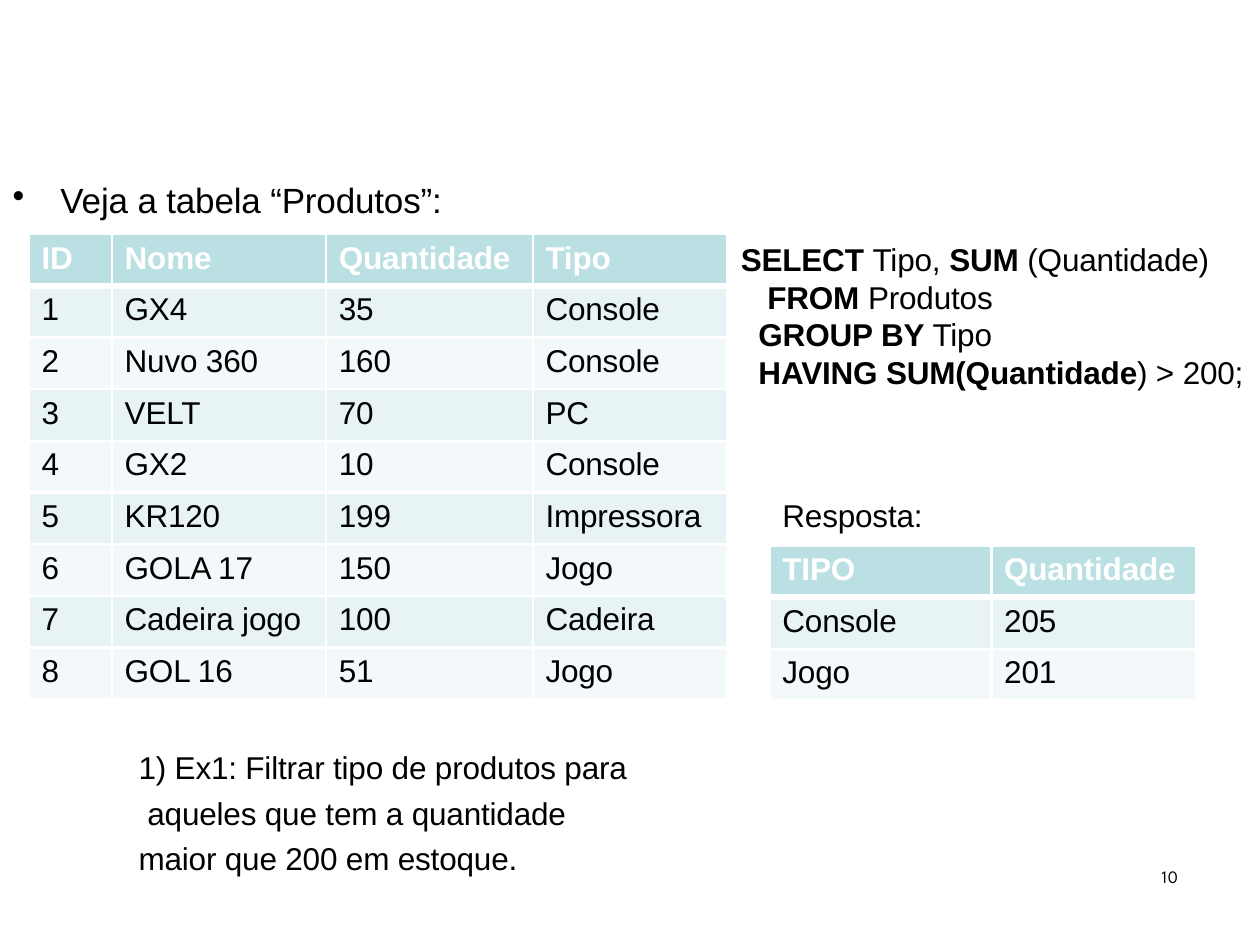
from dataclasses import dataclass
from typing import Optional, Union

from lxml.etree import SubElement
from pptx import Presentation
from pptx.dml.color import RGBColor
from pptx.enum.text import MSO_AUTO_SIZE
from pptx.oxml.ns import qn
from pptx.util import Pt

PX = 9144  # EMU per px, 100 px to the inch


def px(n: int) -> int:
    return n * PX


@dataclass(frozen=True)
class Theme:
    font: str = "Arial"
    number_font: str = "League Spartan"
    ink: str = "000000"
    white: str = "FFFFFF"
    header: str = "BBE0E3"
    bands: tuple = ("E7F3F4", "F3F9FA")
    lead: int = 20
    body: int = 18
    small: int = 10
    thin: float = 1.5
    thick: float = 4.25
    tracking: float = -0.1


THEME = Theme()


@dataclass(frozen=True)
class Run:
    text: str
    bold: bool = False


@dataclass(frozen=True)
class Line:
    runs: tuple
    left: int = 1
    hanging: int = 0
    bullet: str = ""
    spacing: Optional[Union[float, Pt]] = None


@dataclass(frozen=True)
class TextBox:
    at: tuple
    lines: tuple
    size: int = THEME.body
    font: str = THEME.font
    tracking: float = THEME.tracking


@dataclass(frozen=True)
class Grid:
    at: tuple
    cols: tuple
    rows: tuple
    row_height: int = 41


def assign(obj, values: dict) -> None:
    for name, value in values.items():
        setattr(obj, name, value)


def write_line(p, line: Line, size: int, font: str = THEME.font,
               color: str = THEME.ink, tracking: float = THEME.tracking) -> None:
    pPr = p._p.get_or_add_pPr()
    pPr.set("marL", str(px(line.left)))
    pPr.set("indent", str(-px(line.hanging)))
    if line.bullet:
        SubElement(pPr, qn("a:buChar"), char=line.bullet)
    if line.spacing:
        p.line_spacing = line.spacing
    for run in line.runs:
        r = p.add_run()
        r.text = run.text
        assign(r.font, {"name": font, "size": Pt(size), "bold": run.bold})
        r.font.color.rgb = RGBColor.from_string(color)
        r.font._element.set("spc", str(round(tracking * 100)))


def draw_text(s, box: TextBox) -> None:
    tf = s.shapes.add_textbox(*map(px, box.at)).text_frame
    assign(tf, {"word_wrap": True, "auto_size": MSO_AUTO_SIZE.SHAPE_TO_FIT_TEXT,
                "margin_left": 0, "margin_top": px(1),
                "margin_right": 0, "margin_bottom": 0})
    for i, line in enumerate(box.lines):
        p = tf.add_paragraph() if i else tf.paragraphs[0]
        write_line(p, line, box.size, box.font, tracking=box.tracking)


def draw_borders(cell, row: int) -> None:
    # The header is set off from the first row by a thick rule
    tcPr = cell._tc.get_or_add_tcPr()
    thick_side = {0: "lnB", 1: "lnT"}.get(row)
    for side in ("lnL", "lnR", "lnT", "lnB"):
        width = THEME.thick if side == thick_side else THEME.thin
        ln = SubElement(tcPr, qn(f"a:{side}"), w=str(int(Pt(width))))
        fill = SubElement(ln, qn("a:solidFill"))
        SubElement(fill, qn("a:srgbClr"), val=THEME.white)


def draw_grid(s, grid: Grid) -> None:
    n = len(grid.rows)
    table = s.shapes.add_table(
        n, len(grid.cols), *map(px, grid.at),
        px(sum(grid.cols)), px(n * grid.row_height)).table
    for column, width in zip(table.columns, grid.cols):
        column.width = px(width)
    for i, values in enumerate(grid.rows):
        table.rows[i].height = px(grid.row_height)
        head = i == 0
        for j, value in enumerate(values):
            cell = table.cell(i, j)
            draw_borders(cell, i)
            assign(cell, {"margin_left": 0, "margin_top": px(5),
                          "margin_right": 0, "margin_bottom": 0})
            cell.fill.solid()
            cell.fill.fore_color.rgb = RGBColor.from_string(
                THEME.header if head else THEME.bands[(i - 1) % 2])
            write_line(cell.text_frame.paragraphs[0],
                       Line((Run(value, head),), left=10), THEME.body,
                       color=THEME.white if head else THEME.ink)


# Content
PRODUCTS = Grid((23, 186), (66, 170, 164, 154), (
    ("ID", "Nome", "Quantidade", "Tipo"),
    ("1", "GX4", "35", "Console"),
    ("2", "Nuvo 360", "160", "Console"),
    ("3", "VELT", "70", "PC"),
    ("4", "GX2", "10", "Console"),
    ("5", "KR120", "199", "Impressora"),
    ("6", "GOLA 17", "150", "Jogo"),
    ("7", "Cadeira jogo", "100", "Cadeira"),
    ("8", "GOL 16", "51", "Jogo"),
))
ANSWER = Grid((611, 433), (176, 162), (
    ("TIPO", "Quantidade"),
    ("Console", "205"),
    ("Jogo", "201"),
))
LEAD = TextBox((9, 141, 347, 36), (
    Line((Run("Veja a tabela “Produtos”:"),), left=39, hanging=38, bullet="•"),
), size=THEME.lead)
EXERCISE = TextBox((109, 587, 396, 111), (
    Line((Run("1) Ex1: Filtrar tipo de produtos para"),), spacing=1.2),
    Line((Run("aqueles que tem a quantidade"),), left=8, spacing=1.2),
    Line((Run("maior que 200 em estoque."),), spacing=1.2),
))
QUERY = TextBox((587, 190, 406, 123), (
    Line((Run("SELECT ", True), Run("Tipo, "), Run("SUM ", True),
          Run("(Quantidade)")), spacing=Pt(21.4)),
    Line((Run("FROM ", True), Run("Produtos")), left=22, spacing=Pt(21.4)),
    Line((Run("GROUP BY ", True), Run("Tipo")), left=15),
    Line((Run("HAVING SUM(Quantidade", True), Run(") > 200;")), left=15),
))
ANSWER_LABEL = TextBox((620, 393, 115, 33), (Line((Run("Resposta:"),)),))
PAGE_NUMBER = TextBox((921, 686, 20, 19), (Line((Run("10"),)),),
                      size=THEME.small, font=THEME.number_font, tracking=0.5)


def main() -> None:
    prs = Presentation()
    assign(prs, {"slide_width": px(1000), "slide_height": px(750)})
    s = prs.slides.add_slide(prs.slide_layouts[6])

    # Lead, exercise and page number
    for box in (LEAD, EXERCISE, PAGE_NUMBER):
        draw_text(s, box)
    # Product table beside its query
    draw_grid(s, PRODUCTS)
    draw_text(s, QUERY)
    # Result of the query
    draw_grid(s, ANSWER)
    draw_text(s, ANSWER_LABEL)

    prs.save("out.pptx")


if __name__ == "__main__":
    main()
